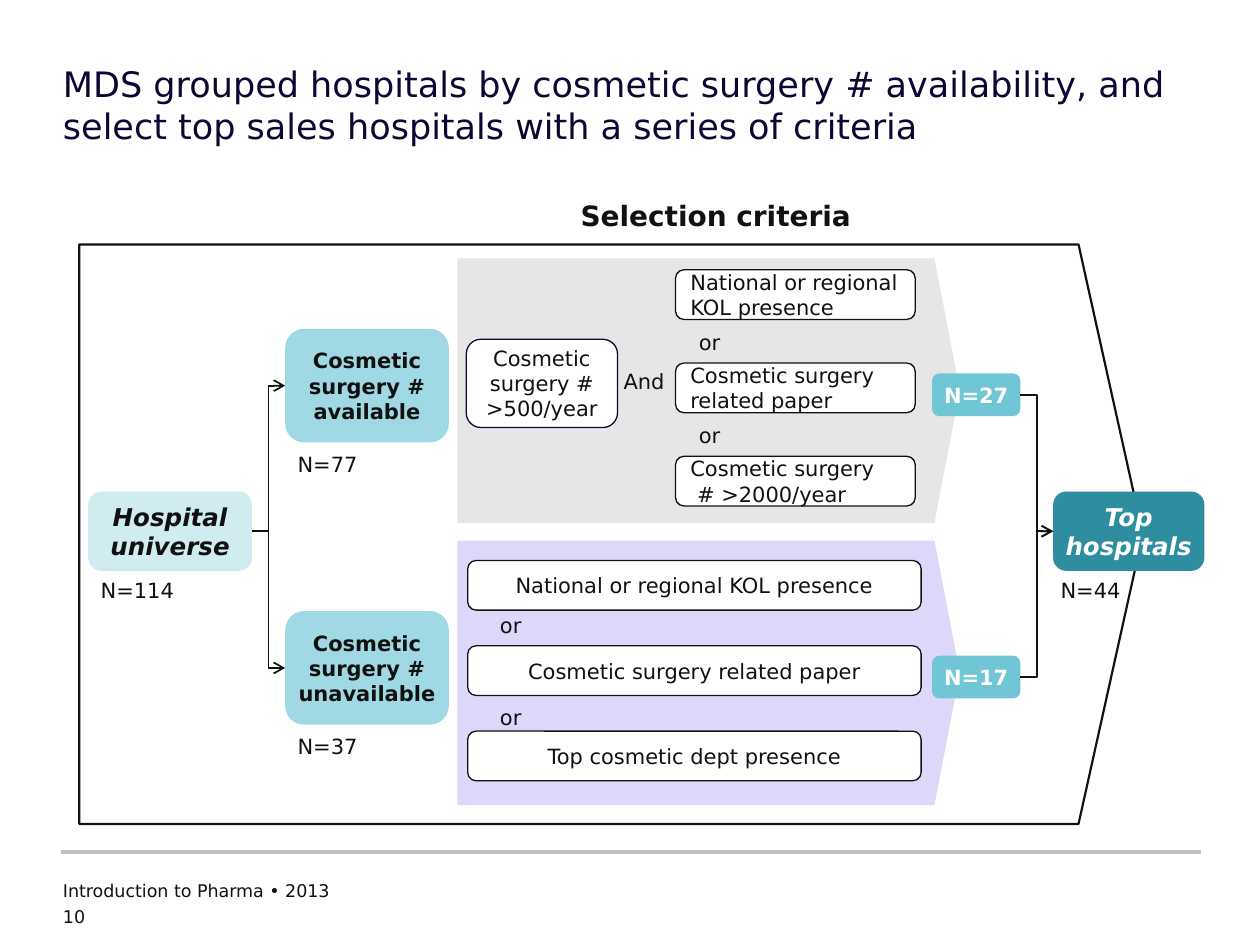
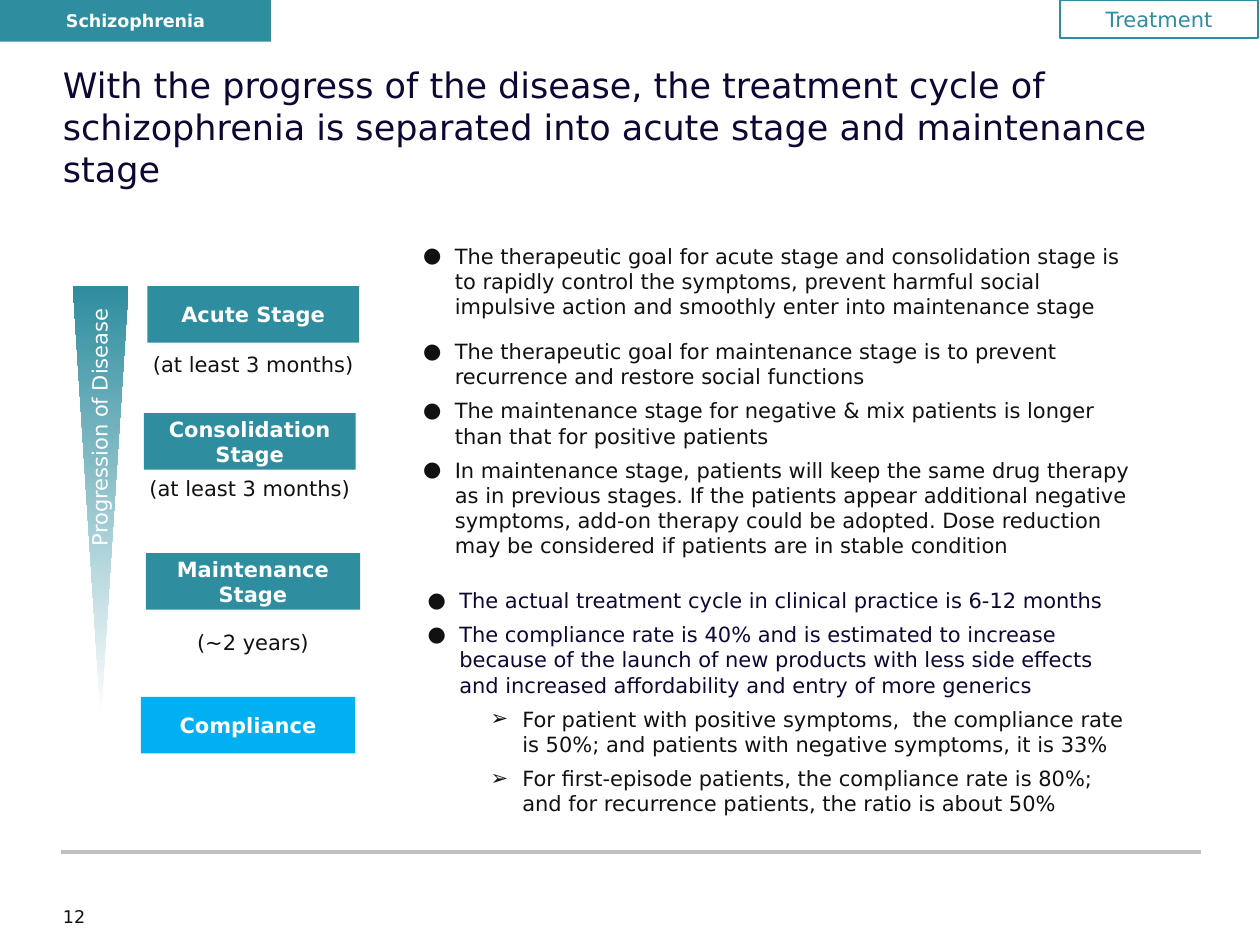
from dataclasses import dataclass

from lxml import etree
from pptx import Presentation
from pptx import util as u
from pptx.dml.color import RGBColor
from pptx.enum import shapes, text
from pptx.oxml.ns import qn

MSO = shapes.MSO_SHAPE
CENTER, LEFT = text.PP_ALIGN.CENTER, text.PP_ALIGN.LEFT
TOP, MIDDLE = text.MSO_ANCHOR.TOP, text.MSO_ANCHOR.MIDDLE


@dataclass(frozen=True)
class Theme:
    font: str = "DejaVu Sans"
    ink: str = "111111"
    navy: str = "0E0733"
    white: str = "FFFFFF"
    teal: str = "2E8D9E"
    aqua: str = "71C6D6"
    sky: str = "A0D9E3"
    pale: str = "D0ECF1"
    blue: str = "00B0F0"
    gray: str = "E6E6E6"
    lilac: str = "DDD7FA"
    rule: str = "C0C0C0"
    title: int = 20
    heading: int = 16
    key: int = 14
    body: int = 12
    small: int = 10


T = Theme()


def rgb(code):
    return RGBColor.from_string(code)


def inside(box, dx, dy, w, h):
    """Box of size w x h, offset from the corner of another box."""
    return box[0] + dx, box[1] + dy, w, h


def write(sp, content, size=T.body, color=T.ink, bold=False, italic=False,
          align=LEFT, anchor=TOP, inset=(0.25, 0.13), wrap=True):
    """Fill a shape with text, one paragraph per line; return the paragraphs."""
    tf = sp.text_frame
    tf.word_wrap, tf.vertical_anchor = wrap, anchor
    tf.margin_left = tf.margin_right = u.Cm(inset[0])
    tf.margin_top = tf.margin_bottom = u.Cm(inset[1])
    for i, line in enumerate(content.split("\n")):
        p = tf.add_paragraph() if i else tf.paragraphs[0]
        p.alignment = align
        r = p.add_run()
        r.text = line
        f = r.font
        f.name, f.size, f.bold, f.italic = T.font, u.Pt(size), bold, italic
        f.color.rgb = rgb(color)
    return tf.paragraphs


def label(s, content, box, **fmt):
    sp = s.shapes.add_textbox(*map(u.Cm, box))
    write(sp, content, **fmt)
    return sp


def block(s, kind, box, content=None, fill=None, line=None, weight=0.75,
          adj=None, **fmt):
    """Preset shape, by default with centred text in its middle."""
    sp = s.shapes.add_shape(kind, *map(u.Cm, box))
    sp.shadow.inherit = False
    if adj is not None:
        sp.adjustments[0] = adj
    if fill:
        sp.fill.solid()
        sp.fill.fore_color.rgb = rgb(fill)
    else:
        sp.fill.background()
    if line:
        sp.line.color.rgb = rgb(line)
        sp.line.width = u.Pt(weight)
    else:
        sp.line.fill.background()
    if content:
        write(sp, content, **{"align": CENTER, "anchor": MIDDLE, **fmt})
    return sp


def style_line(c, color, weight):
    c.line.color.rgb = rgb(color)
    c.line.width = u.Pt(weight)
    etree.SubElement(c._element.spPr, qn("a:effectLst"))


def elbow(s, start, end):
    """Arrow from the right side of one box to the left side of another."""
    c = s.shapes.add_connector(shapes.MSO_CONNECTOR.ELBOW, 0, 0, 0, 0)
    c.begin_connect(start, 3)
    c.end_connect(end, 1)
    style_line(c, T.ink, 1)
    etree.SubElement(c.line._get_or_add_ln(), qn("a:tailEnd"), type="arrow")


def frame(prs, title, number, width=22.86, footer=None):
    """Slide with the shared title, rule and footer."""
    s = prs.slides.add_slide(prs.slide_layouts[6])
    c = s.shapes.add_connector(shapes.MSO_CONNECTOR.STRAIGHT,
                               *map(u.Cm, (1.22, 17.17, 24.21, 17.17)))
    style_line(c, T.rule, 2)
    flush = dict(inset=(0, 0))
    label(s, title, (1.27, 1.27, width, 2.54), size=T.title, color=T.navy, **flush)
    if footer:
        label(s, footer, (1.27, 17.75, 16.97, 0.58), size=T.small, **flush)
    label(s, number, (1.27, 18.26, 1.22, 0.51), size=T.small, **flush)
    return s


# ---- Hospital selection ----

def criteria(s, box, rows, fill, dx, dy, pitch, width, or_dx, count, **fmt):
    """Pentagon with alternative criteria; returns its count badge."""
    block(s, MSO.PENTAGON, box, fill=fill, adj=0.096)
    for i, row in enumerate(rows):
        block(s, MSO.ROUNDED_RECTANGLE, inside(box, dx, dy + i * pitch, width, 1),
              row, fill=T.white, line=T.ink, **fmt)
        if i:
            label(s, "or", inside(box, or_dx, 1.31 + (i - 1) * 1.87, 1.68, 0.51))
    return block(s, MSO.ROUNDED_RECTANGLE, inside(box, 9.57, 2.32, 1.78, 0.86),
                 count, fill=T.aqua, color=T.white, bold=True, inset=(0.13, 0.13))


def counted(s, box, content, fill, count, dx=0, gap=0.0, **fmt):
    """Rounded box with its number of hospitals below."""
    sp = block(s, MSO.ROUNDED_RECTANGLE, box, content, fill=fill, bold=True,
               inset=(0.13, 0.13), **fmt)
    label(s, count, inside(box, dx, box[3] + gap, 2.59, 0.76))
    return sp


def selection_flow(s, box):
    block(s, MSO.PENTAGON, box, line=T.ink, weight=1.25, adj=0.111)
    label(s, "Selection criteria", inside(box, 9.45, -1.09, 6.76, 0.99),
          size=T.heading, bold=True, align=CENTER, anchor=MIDDLE)

    # Criteria of each group
    upper = inside(box, 7.62, 0.28, 10.13, 5.33)
    lower = inside(box, 7.62, 5.97, 10.13, 5.33)
    badges = [
        criteria(s, upper, ["National or regional KOL presence",
                            "Cosmetic surgery related paper",
                            "Cosmetic surgery\n # >2000/year"],
                 T.gray, 4.4, 0.23, 1.88, 4.83, 4.62, "N=27", align=LEFT),
        criteria(s, lower, ["National or regional KOL presence",
                            "Cosmetic surgery related paper",
                            "Top cosmetic dept presence"],
                 T.lilac, 0.21, 0.4, 1.72, 9.14, 0.61, "N=17"),
    ]
    block(s, MSO.ROUNDED_RECTANGLE, inside(upper, 0.18, 1.63, 3.05, 1.78),
          "Cosmetic surgery # >500/year", fill=T.white, line=T.navy)
    label(s, "And", inside(upper, 3.1, 2.08, 1.68, 0.76))

    # Universe, groups and result
    key = dict(size=T.key, italic=True)
    universe = counted(s, inside(box, 0.18, 4.98, 3.3, 1.6), "Hospital universe",
                       T.pale, "N=114", **key)
    groups = [
        counted(s, inside(box, 4.15, dy, 3.3, 2.29), f"Cosmetic surgery # {state}",
                T.sky, count, gap=0.05)
        for dy, state, count in [(1.7, "available", "N=77"),
                                 (7.39, "unavailable", "N=37")]]
    result = counted(s, inside(box, 19.63, 4.98, 3.05, 1.6), "Top hospitals",
                     T.teal, "N=44", dx=-0.1, color=T.white, **key)

    for group, badge in zip(groups, badges):
        elbow(s, universe, group)
        elbow(s, badge, result)


# ---- Treatment cycle ----

def section_tags(s):
    block(s, MSO.RECTANGLE, (0, 0, 5.46, 0.84), "Schizophrenia", fill=T.teal,
          size=T.small, color=T.white, bold=True, wrap=False)
    block(s, MSO.RECTANGLE, (21.37, 0, 3.99, 0.77), "Treatment", line=T.teal,
          color=T.teal, wrap=False)


def stage_column(s, box):
    # Fading wedge with its upright caption
    x, y, _, h = box
    wedge_w, caption_w, caption_h = 1.12, 5.38, 0.76
    sp = block(s, MSO.ISOSCELES_TRIANGLE, (x, y, wedge_w, h))
    sp.rotation = 180
    sp.fill.gradient()
    sp.fill.gradient_angle = 270
    for stop, color in zip(sp.fill.gradient_stops, (T.white, T.teal)):
        stop.color.rgb = rgb(color)
    sp = label(s, "Progression of Disease",
               inside(box, (wedge_w - caption_w) / 2 - 0.03, 2.42,
                      caption_w, caption_h),
               color=T.white, wrap=False)
    sp.rotation = 270

    # Stages, each with its duration centred below on one line
    stage_h, duration_w = 1.14, 5
    for name, dx, dy, w, fill, duration, gap in [
            ("Acute Stage", 1.5, 0, 4.27, T.teal, "(at least 3 months)", 0.05),
            ("Consolidation Stage", 1.43, 2.56, 4.27, T.teal,
             "(at least 3 months)", 0),
            ("Maintenance Stage", 1.47, 5.38, 4.32, T.teal, "(~2 years)", 0.28),
            ("Compliance", 1.37, 8.28, 4.32, T.blue, None, 0)]:
        stage = inside(box, dx, dy, w, stage_h)
        block(s, MSO.RECTANGLE, stage, name, fill=fill, color=T.white, bold=True)
        if duration:
            label(s, duration, inside(stage, (w - duration_w) / 2, stage_h + gap,
                                      duration_w, 0.76),
                  align=CENTER, anchor=MIDDLE)


def bullets(s, box, items):
    """Bulleted text from (level, colour, text) items."""
    sp = s.shapes.add_textbox(*map(u.Cm, box))
    paragraphs = write(sp, "\n".join(item[2] for item in items))
    for i, (p, (level, color, _)) in enumerate(zip(paragraphs, items)):
        pPr = p._p.get_or_add_pPr()
        pPr.set("marL", str(u.Cm(0.31 + 1.27 * level)))
        pPr.set("indent", str(u.Cm(-0.64)))
        clr = etree.SubElement(pPr, qn("a:buClr"))
        etree.SubElement(clr, qn("a:srgbClr"), val=T.ink)
        etree.SubElement(pPr, qn("a:buFont"), typeface=T.font)
        etree.SubElement(pPr, qn("a:buChar"), char="●" if level == 1 else "➢")
        p.level = level
        if i:
            p.space_before = u.Pt(5)
        p.runs[0].font.color.rgb = rgb(color)


def treatment_notes(s, box):
    bullets(s, inside(box, 0, 0, 15.75, 1.8), [
        (1, T.ink, "The therapeutic goal for acute stage and consolidation stage is "
         "to rapidly control the symptoms, prevent harmful social impulsive action "
         "and smoothly enter into maintenance stage")])
    bullets(s, inside(box, 0, 1.93, 15.85, 4.78), [
        (1, T.ink, "The therapeutic goal for maintenance stage is to prevent "
         "recurrence and restore social functions"),
        (1, T.ink, "The maintenance stage for negative & mix patients is longer "
         "than that for positive patients"),
        (1, T.ink, "In maintenance stage, patients will keep the same drug therapy "
         "as in previous stages. If the patients appear additional negative "
         "symptoms, add-on therapy could be adopted. Dose reduction may be "
         "considered if patients are in stable condition")])
    bullets(s, inside(box, 0.09, 6.95, 15.75, 5.61), [
        (1, T.navy, "The actual treatment cycle in clinical practice is 6-12 months"),
        (1, T.navy, "The compliance rate is 40% and is estimated to increase because "
         "of the launch of new products with less side effects and increased "
         "affordability and entry of more generics"),
        (2, T.ink, "For patient with positive symptoms,  the compliance rate is 50%; "
         "and patients with negative symptoms, it is 33%"),
        (2, T.ink, "For first-episode patients, the compliance rate is 80%; and for "
         "recurrence patients, the ratio is about 50%")])


def main():
    prs = Presentation()
    prs.slide_width, prs.slide_height = u.Cm(25.4), u.Cm(19.05)

    s = frame(prs, "MDS grouped hospitals by cosmetic surgery # availability, and "
              "select top sales hospitals with a series of criteria", "10",
              footer="Introduction to Pharma • 2013")
    selection_flow(s, (1.6, 4.93, 21.44, 11.68))

    s = frame(prs, "With the progress of the disease, the treatment cycle of "
              "schizophrenia is separated into acute stage and maintenance stage",
              "12", width=23.11)
    section_tags(s)
    stage_column(s, (1.47, 5.77, 5.82, 8.69))
    treatment_notes(s, (7.34, 4.77, 15.85, 12.56))

    prs.save("out.pptx")


if __name__ == "__main__":
    main()
